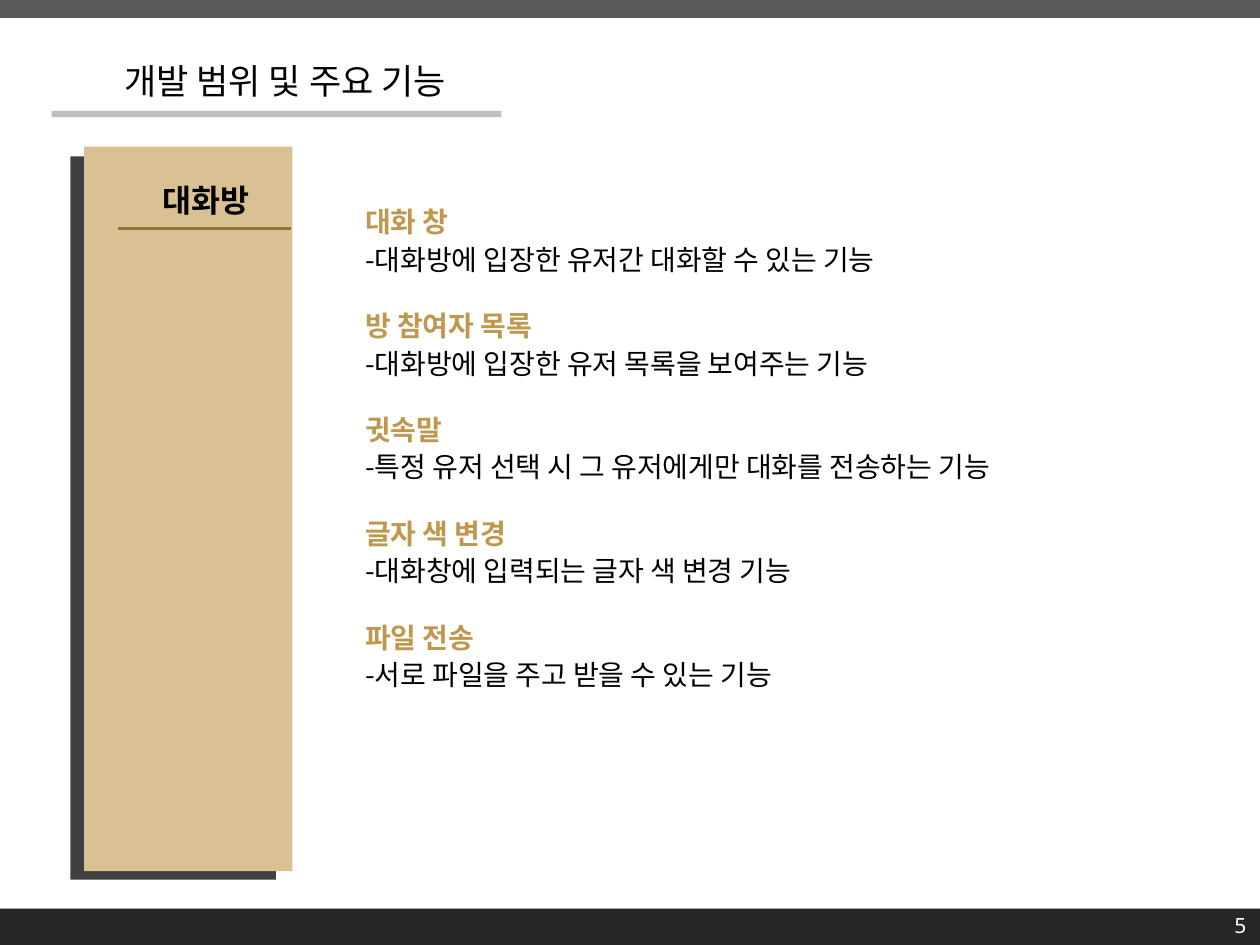
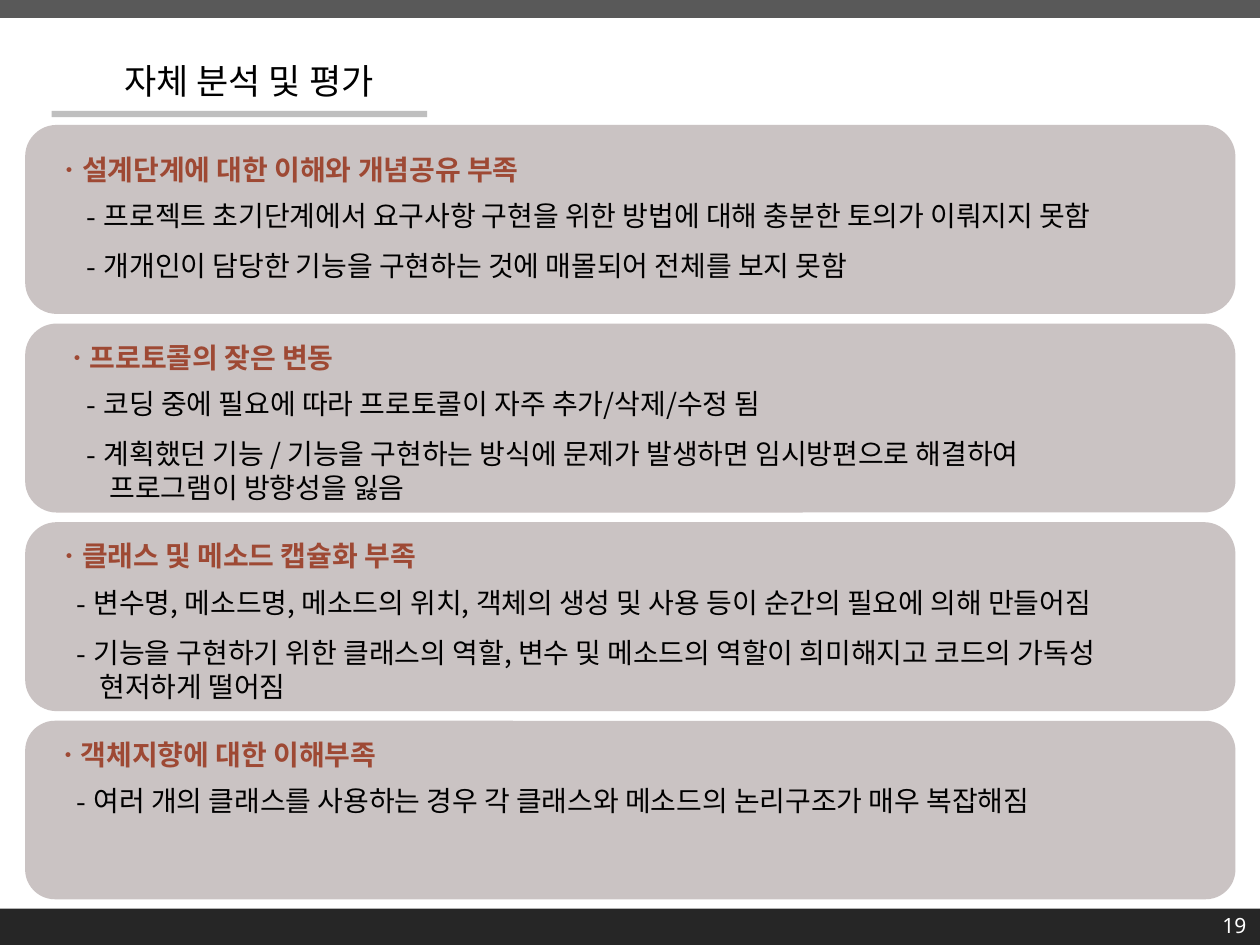
import pptx
import pptx.util
import pptx.dml.color
import pptx.enum.shapes
import pptx.enum.text
import pptx.oxml.ns
from lxml import etree

Pt = pptx.util.Pt
qn = pptx.oxml.ns.qn
SHAPE = pptx.enum.shapes.MSO_SHAPE
ALIGN = pptx.enum.text.PP_ALIGN
ANCHOR = pptx.enum.text.MSO_ANCHOR

KOREAN, LATIN = "Noto Sans CJK KR", "Noto Sans"
BLACK, WHITE, GREY = "000000", "FFFFFF", "BFBFBF"
TOP_BAND, FOOTER, SHADE = "595959", "262626", "404040"
SAND, GOLD, BROWN = "D9C194", "BF974D", "947335"
CARD, RUST = "BDB4B4", "9E4934"
WIDTH, HEIGHT = 720, 540

CHAT_TITLE = "개발 범위 및 주요 기능"
SIDEBAR_LABEL = "대화방"
FEATURES = [
    ("대화 창", "-대화방에 입장한 유저간 대화할 수 있는 기능"),
    ("방 참여자 목록", "-대화방에 입장한 유저 목록을 보여주는 기능"),
    ("귓속말", "-특정 유저 선택 시 그 유저에게만 대화를 전송하는 기능"),
    ("글자 색 변경", "-대화창에 입력되는 글자 색 변경 기능"),
    ("파일 전송", "-서로 파일을 주고 받을 수 있는 기능"),
]

REVIEW_TITLE = "자체 분석 및 평가"
# heading, its left, left of the points, drop from the card top, card height,
# points as (text, continuation line)
FINDINGS = [
    ("ㆍ설계단계에 대한 이해와 개념공유 부족", 25.2, 42.5, 12, 108, [
        ("프로젝트 초기단계에서 요구사항 구현을 위한 방법에 대해 충분한 토의가 이뤄지지 못함", None),
        ("개개인이 담당한 기능을 구현하는 것에 매몰되어 전체를 보지 못함", None)]),
    ("ㆍ프로토콜의 잦은 변동", 29.5, 42.5, 6, 108, [
        ("코딩 중에 필요에 따라 프로토콜이 자주 추가/삭제/수정 됨", None),
        ("계획했던 기능 / 기능을 구현하는 방식에 문제가 발생하면 임시방편으로 해결하여",
         "프로그램이 방향성을 잃음")]),
    ("ㆍ클래스 및 메소드 캡슐화 부족", 25.2, 36.7, 6, 108, [
        ("변수명, 메소드명, 메소드의 위치, 객체의 생성 및 사용 등이 순간의 필요에 의해 만들어짐", None),
        ("기능을 구현하기 위한 클래스의 역할, 변수 및 메소드의 역할이 희미해지고 코드의 가독성",
         "현저하게 떨어짐")]),
    ("ㆍ객체지향에 대한 이해부족", 24.5, 36.7, 6, 102, [
        ("여러 개의 클래스를 사용하는 경우 각 클래스와 메소드의 논리구조가 매우 복잡해짐", None)]),
]


def rgb(color):
    return pptx.dml.color.RGBColor.from_string(color)


def add_block(s, x, y, w, h, fill, kind=SHAPE.RECTANGLE, opacity=None):
    sp = s.shapes.add_shape(kind, Pt(x), Pt(y), Pt(w), Pt(h))
    sp.shadow.inherit = False
    sp.line.fill.background()
    sp.fill.solid()
    sp.fill.fore_color.rgb = rgb(fill)
    if opacity:
        clr = sp.fill._xPr.find(qn("a:solidFill"))[0]
        etree.SubElement(clr, qn("a:alpha"), val=str(opacity * 1000))
    return sp


def write(p, text, size=16, color=BLACK, bold=False, font=KOREAN, spacing=None, align=None):
    r = p.add_run()
    r.text = text
    r.font.size, r.font.bold, r.font.name = Pt(size), bold, font
    r.font.color.rgb = rgb(color)
    etree.SubElement(r._r.get_or_add_rPr(), qn("a:ea"), typeface=font)
    if spacing:
        p.line_spacing = spacing
    if align is not None:
        p.alignment = align


def add_text(s, x, y, w, h, text=None, anchor=ANCHOR.TOP, wrap=True, **fmt):
    tf = s.shapes.add_textbox(Pt(x), Pt(y), Pt(w), Pt(h)).text_frame
    tf.word_wrap = wrap
    tf.vertical_anchor = anchor
    if text:
        write(tf.paragraphs[0], text, **fmt)
    return tf


def set_indent(p, left, bullet=None):
    """Indent a paragraph; a bullet hangs at the box's left edge."""
    pPr = p._p.get_or_add_pPr()
    pPr.set("marL", str(Pt(left)))
    pPr.set("indent", str(-Pt(left) if bullet else 0))
    if bullet:
        etree.SubElement(pPr, qn("a:buFont"), typeface=KOREAN)
        etree.SubElement(pPr, qn("a:buChar"), char=bullet)


def add_points(s, x, y, w, points):
    tf = add_text(s, x, y, w, 25 + 27 * (len(points) - 1))
    tf.margin_top = tf.margin_bottom = Pt(3)
    for i, (text, continuation) in enumerate(points):
        p = tf.add_paragraph() if i else tf.paragraphs[0]
        set_indent(p, 9.7, "-")
        write(p, text, spacing=1.5 if i else None)
        if continuation:
            p = tf.add_paragraph()
            set_indent(p, 13)
            write(p, continuation)


def add_frame(s, title, number, rule_width):
    """Bands, title with its rule, and page number."""
    add_text(s, 64, 22.3, 243.4, 35.3, title, anchor=ANCHOR.MIDDLE, wrap=False, size=20, spacing=1.5)
    add_block(s, 0, 0, WIDTH, 10.2, TOP_BAND)
    add_block(s, 0, 519.3, WIDTH, HEIGHT - 519.3, FOOTER)
    add_text(s, 551.5, 514.1, 167.8, 28.8, number, anchor=ANCHOR.MIDDLE,
             size=12, color=WHITE, font=LATIN, align=ALIGN.RIGHT)
    add_block(s, 29.5, 63.3, rule_width, 3.6, GREY)


def build_features(s):
    add_frame(s, CHAT_TITLE, "5", 257)
    add_block(s, 40.3, 89.4, 117.4, 413.3, SHADE)
    add_block(s, 48.1, 83.8, 119, 414, SAND)
    add_text(s, 85.7, 100, 89.3, 29, SIDEBAR_LABEL, size=18, bold=True)
    line = s.shapes.add_connector(pptx.enum.shapes.MSO_CONNECTOR.STRAIGHT,
                                  Pt(67.5), Pt(130.4), Pt(166.3), Pt(130.4))
    line.line.color.rgb = rgb(BROWN)
    line.line.width = Pt(1.5)
    etree.SubElement(line._element.spPr, qn("a:effectLst"))
    for i, (name, detail) in enumerate(FEATURES):
        add_text(s, 201.6, 113.2 + 59.5 * i, 436, 26.6, name, color=GOLD, bold=True)
        add_text(s, 201.6, 135.2 + 59.2 * i, 507, 26.6, detail)


def build_review(s):
    add_frame(s, REVIEW_TITLE, "19", 214.6)
    for i, (heading, head_x, points_x, drop, height, points) in enumerate(FINDINGS):
        top = 71.4 + 113.5 * i
        add_block(s, 14.4, top, 691.6, height, CARD, SHAPE.ROUNDED_RECTANGLE, opacity=80)
        add_text(s, head_x, top + drop, 436, 26.6, heading, color=RUST, bold=True)
        add_points(s, points_x, top + drop + 27, 666, points)


def main():
    prs = pptx.Presentation()
    prs.slide_width, prs.slide_height = Pt(WIDTH), Pt(HEIGHT)
    for build in (build_features, build_review):
        build(prs.slides.add_slide(prs.slide_layouts[6]))
    prs.save("out.pptx")


if __name__ == "__main__":
    main()
